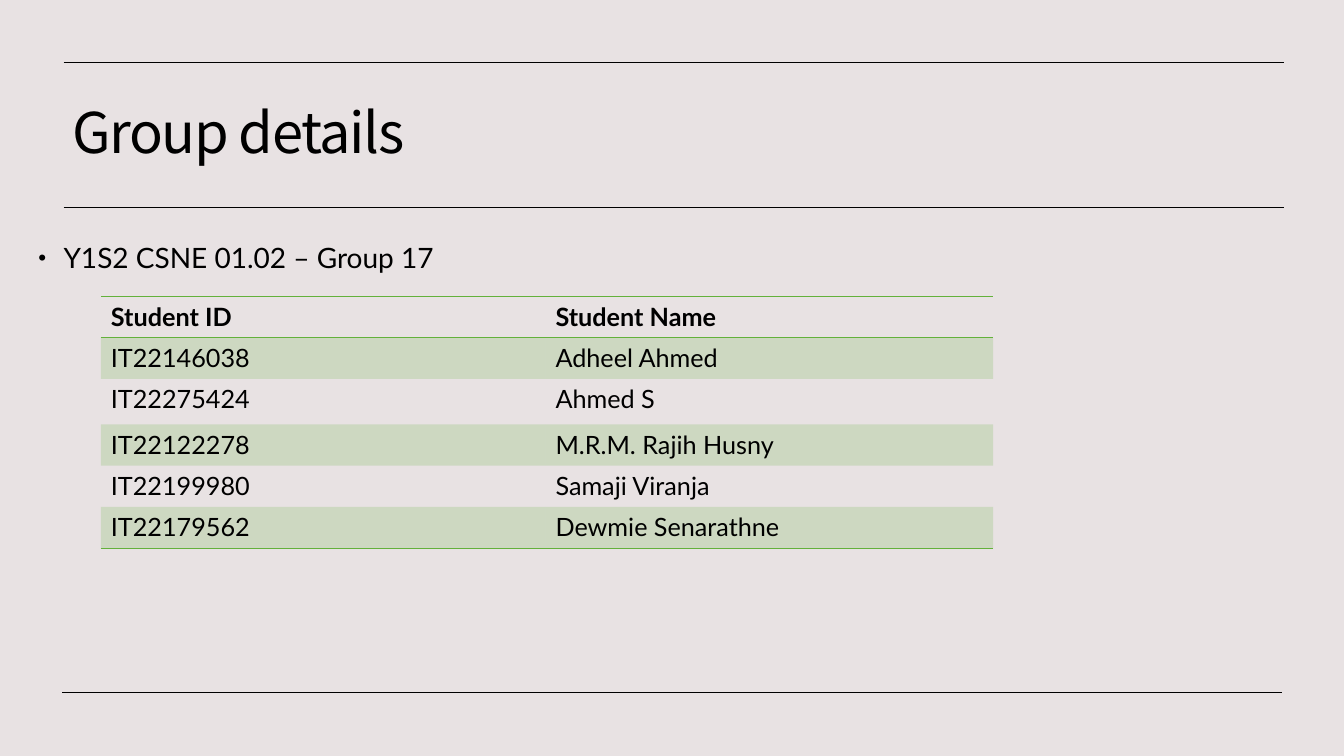
from lxml.etree import SubElement
from pptx import Presentation
from pptx.dml.color import RGBColor
from pptx.enum.shapes import MSO_CONNECTOR
from pptx.enum.text import MSO_ANCHOR, MSO_AUTO_SIZE, PP_ALIGN
from pptx.oxml.ns import qn
from pptx.util import Inches, Pt

BACKGROUND = RGBColor(0xE8, 0xE2, 0xE3)
BLACK = RGBColor(0x00, 0x00, 0x00)
GREEN = RGBColor(0x63, 0xB1, 0x3B)
TITLE_FONT = "Noto Sans CJK KR"
BODY_FONT = "Lato"
NO_STYLE_NO_GRID = "{2D5ABB26-0587-4C30-8999-92F81FD0307C}"

RULES = [(0.63, 0.62), (0.63, 2.06), (0.62, 6.87)]  # left, top
RULE_WIDTH = 12.1
STUDENTS = [
    ("Student ID", "Student Name"),
    ("IT22146038", "Adheel Ahmed"),
    ("IT22275424", "Ahmed S"),
    ("IT22122278", "M.R.M. Rajih Husny"),
    ("IT22199980", "Samaji Viranja"),
    ("IT22179562", "Dewmie Senarathne"),
]
COLUMN_WIDTHS = [4.41, 4.44]
ROW_HEIGHTS = [0.41, 0.41, 0.45, 0.41, 0.41, 0.41]


def place(shape, left, top, width, height):
    shape.left, shape.top = Inches(left), Inches(top)
    shape.width, shape.height = Inches(width), Inches(height)


def format_run(run, font_name, size, bold=False):
    run.font.name = font_name
    run.font.size = Pt(size)
    run.font.bold = bold
    run.font.color.rgb = BLACK


def add_rule(slide, left, top, width):
    rule = slide.shapes.add_connector(
        MSO_CONNECTOR.STRAIGHT,
        Inches(left), Inches(top), Inches(left + width), Inches(top))
    rule.line.color.rgb = BLACK
    rule.line.width = Pt(0.5)
    SubElement(rule._element.spPr, qn("a:effectLst"))


def fill_placeholder(shape, text, box, anchor):
    place(shape, *box)
    frame = shape.text_frame
    frame.text = text
    frame.word_wrap = True
    frame.auto_size = MSO_AUTO_SIZE.NONE
    frame.vertical_anchor = anchor
    paragraph = frame.paragraphs[0]
    paragraph.alignment = PP_ALIGN.LEFT
    return paragraph


def add_title(slide, text, *box):
    paragraph = fill_placeholder(slide.shapes.title, text, box, MSO_ANCHOR.MIDDLE)
    paragraph.line_spacing = 0.9
    run = paragraph.runs[0]
    format_run(run, TITLE_FONT, 40)
    run.font._element.set("spc", "-100")


def add_group_line(slide, text, *box):
    paragraph = fill_placeholder(slide.placeholders[1], text, box, MSO_ANCHOR.TOP)
    paragraph.line_spacing = 1.2
    paragraph.space_before = Pt(10)
    format_run(paragraph.runs[0], BODY_FONT, 20)
    # Hanging bullet
    properties = paragraph._p.get_or_add_pPr()
    properties.set("marL", str(Inches(0.25)))
    properties.set("indent", str(Inches(-0.25)))
    SubElement(properties, qn("a:buSzPct"), val="80000")
    SubElement(properties, qn("a:buFont"), typeface="Arial")
    SubElement(properties, qn("a:buChar"), char="•")


def add_border(cell, side):
    properties = cell._tc.get_or_add_tcPr()
    border = SubElement(properties, qn(f"a:{side}"), w=str(Pt(1)))
    solid = SubElement(border, qn("a:solidFill"))
    SubElement(solid, qn("a:srgbClr"), val=str(GREEN))


def fill_cell(cell, shaded):
    if not shaded:
        cell.fill.background()
        return
    cell.fill.solid()
    cell.fill.fore_color.rgb = GREEN
    color = cell._tc.tcPr.find(f"{qn('a:solidFill')}/{qn('a:srgbClr')}")
    SubElement(color, qn("a:alpha"), val="20000")


def add_student_table(slide, left, top):
    frame = slide.shapes.add_table(
        len(STUDENTS), len(COLUMN_WIDTHS), Inches(left), Inches(top),
        Inches(sum(COLUMN_WIDTHS)), Inches(sum(ROW_HEIGHTS)))
    table = frame.table
    table.horz_banding = False
    table._tbl.tblPr.find(qn("a:tableStyleId")).text = NO_STYLE_NO_GRID
    for column, width in zip(table.columns, COLUMN_WIDTHS):
        column.width = Inches(width)
    for row, height in zip(table.rows, ROW_HEIGHTS):
        row.height = Inches(height)

    last_row = len(STUDENTS) - 1
    for row_index, student in enumerate(STUDENTS):
        for column_index, text in enumerate(student):
            cell = table.cell(row_index, column_index)
            cell.text_frame.text = text
            run = cell.text_frame.paragraphs[0].runs[0]
            format_run(run, BODY_FONT, 18, bold=row_index == 0)
            # Borders come before the fill in the cell properties
            if row_index == 0:
                add_border(cell, "lnT")
            if row_index in (0, last_row):
                add_border(cell, "lnB")
            fill_cell(cell, shaded=row_index % 2 == 1)


def build_group_slide(presentation):
    slide = presentation.slides.add_slide(presentation.slide_layouts[1])
    slide.background.fill.solid()
    slide.background.fill.fore_color.rgb = BACKGROUND
    for left, top in RULES:
        add_rule(slide, left, top, RULE_WIDTH)
    add_title(slide, "Group details", 0.62, 0.75, 12.08, 1.19)
    add_group_line(slide, "Y1S2 CSNE 01.02 – Group 17", 0.28, 2.27, 12.1, 4.28)
    add_student_table(slide, 1, 2.94)


def main():
    presentation = Presentation()
    presentation.slide_width = Inches(13.33)
    presentation.slide_height = Inches(7.5)
    build_group_slide(presentation)
    presentation.save("out.pptx")


if __name__ == "__main__":
    main()
